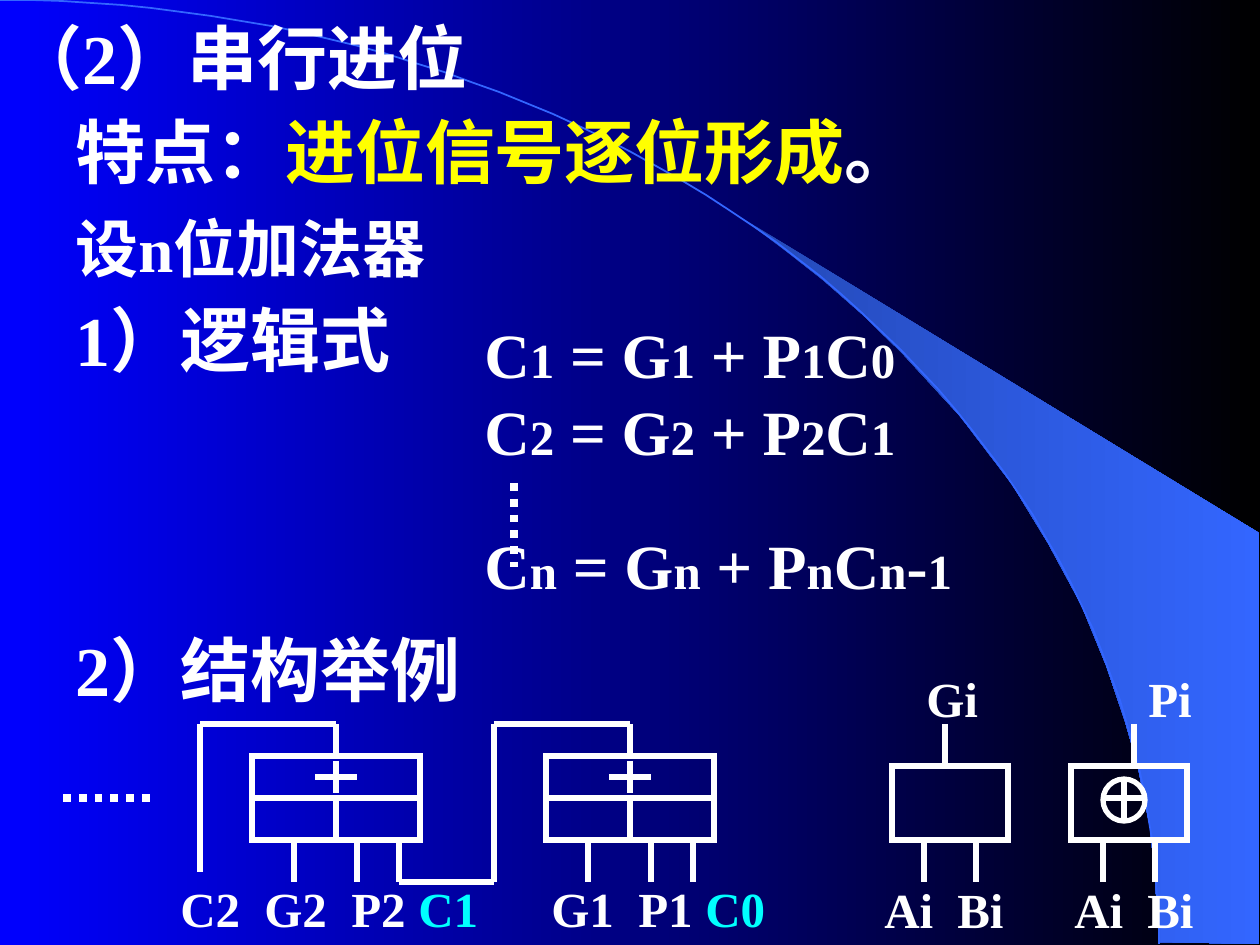
"""Build the slide on the serial carry chain of an n-bit adder."""
from itertools import cycle
from math import cos, pi, sin

from lxml.etree import SubElement
from pptx import Presentation
from pptx.dml.color import RGBColor
from pptx.enum.dml import MSO_LINE
from pptx.enum.shapes import MSO_CONNECTOR, MSO_SHAPE
from pptx.oxml.ns import qn
from pptx.util import Pt

PX = 914400 / 126
WIDTH, HEIGHT = 1260, 945
COLORS = {
    "white": "FFFFFF", "yellow": "FFFF00", "cyan": "00FFFF",
    "blue": "0000FF", "black": "000000", "arc": "3366FF", "beam": "2449B6",
}
BEAM = [
    (1159, 942), (1259, 944), (1259, 533), (742, 218), (786, 251), (823, 280),
    (863, 315), (902, 353), (960, 416), (1012, 484), (1048, 543), (1081, 604),
    (1106, 665), (1125, 721), (1138, 767), (1150, 827), (1155, 877),
]
LABELS = [
    ("C2", 168, 872, "white"), ("G2", 252, 872, "white"),
    ("P2", 339, 872, "white"), ("C1", 406, 872, "cyan"),
    ("G1", 539, 872, "white"), ("P1", 626, 872, "white"),
    ("C0", 693, 872, "cyan"),
    ("Gi", 914, 662, "white"), ("Pi", 1136, 662, "white"),
    ("Ai", 872, 873, "white"), ("Bi", 945, 873, "white"),
    ("Ai", 1062, 873, "white"), ("Bi", 1135, 873, "white"),
]


def px(length):
    """Turn px into EMU."""
    return round(length * PX)


def rgb(name):
    """Look up a colour by name."""
    return RGBColor.from_string(COLORS[name])


def fill_gradient(fill, start, end):
    """Fill from left to right with two colours."""
    fill.gradient()
    fill.gradient_angle = 0
    for stop, name in zip(fill.gradient_stops, (start, end)):
        stop.color.rgb = rgb(name)


def add_outline(slide, points, closed):
    """Draw a freeform through the points."""
    builder = slide.shapes.build_freeform(*points[0], scale=PX)
    builder.add_line_segments(points[1:], close=closed)
    outline = builder.convert_to_shape()
    outline.shadow.inherit = False
    return outline


def add_backdrop(slide):
    """Draw the gradient, the beam and the arc behind the content."""
    fill_gradient(slide.background.fill, "blue", "black")
    beam = add_outline(slide, BEAM, True)
    fill_gradient(beam.fill, "beam", "arc")
    beam.line.fill.background()
    steps = 60
    angles = [pi / 2 * step / steps for step in range(steps + 1)]
    curve = [(round(1159 * sin(a)), round(944 * (1 - cos(a)))) for a in angles]
    arc = add_outline(slide, curve, False)
    arc.fill.background()
    arc.line.color.rgb = rgb("arc")
    arc.line.width = Pt(1)


def add_wire(slide, x1, y1, x2, y2, dotted=False):
    """Draw a white line, solid or dotted."""
    wire = slide.shapes.add_connector(
        MSO_CONNECTOR.STRAIGHT, px(x1), px(y1), px(x2), px(y2))
    wire.line.color.rgb = rgb("white")
    wire.line.width = Pt(4.5 if dotted else 3)
    if dotted:
        wire.line.dash_style = MSO_LINE.ROUND_DOT
    SubElement(wire._element.spPr, qn("a:effectLst"))


def add_block(slide, preset, x, y, width, height):
    """Draw an unfilled white outline with sharp corners."""
    block = slide.shapes.add_shape(preset, px(x), px(y), px(width), px(height))
    block.shadow.inherit = False
    block.fill.background()
    block.line.color.rgb = rgb("white")
    block.line.width = Pt(3)
    SubElement(block._element.spPr.find(qn("a:ln")), qn("a:miter"), lim="800000")


def add_text(slide, x, y, width, height, lines, spacing=None):
    """Write lines of (space before, indent, pieces of text, size, colour)."""
    box = slide.shapes.add_textbox(px(x), px(y), px(width), px(height))
    frame = box.text_frame
    frame.word_wrap = True
    for number, (before, indent, pieces) in enumerate(lines):
        paragraph = frame.add_paragraph() if number else frame.paragraphs[0]
        if spacing:
            paragraph.line_spacing = spacing
        if before:
            paragraph.space_before = Pt(before)
        if indent:
            properties = paragraph._p.get_or_add_pPr()
            properties.set("marL", str(px(indent)))
            properties.set("indent", "0")
        for text, size, color in pieces:
            run = paragraph.add_run()
            run.text = text
            run.font.name = "Times New Roman"
            run.font.size = Pt(size)
            run.font.bold = True
            run.font.color.rgb = rgb(color)


def formula(marked):
    """Split at bars into alternating large symbols and small indices."""
    return [(text, size, "white")
            for text, size in zip(marked.split("|"), cycle((36, 28)))]


def add_adder(slide, x, carry_end):
    """Draw one adder with its three inputs and its carry output."""
    middle = x + 84
    carry = x - 52
    add_block(slide, MSO_SHAPE.RECTANGLE, x, 756, 168, 84)
    for ends in (
        (x, 798, x + 168, 798), (middle, 798, middle, 840),
        (x + 63, 777, x + 105, 777), (middle, 761, middle, 793),
        (middle, 724, middle, 756), (carry, 724, middle, 724),
        (carry, 724, carry, carry_end),
    ):
        add_wire(slide, *ends)
    for offset in (42, 105, 147):
        add_wire(slide, x + offset, 840, x + offset, 882)


def add_gate(slide, x, output):
    """Draw one gate with two inputs and an output."""
    add_block(slide, MSO_SHAPE.RECTANGLE, x, 766, 116, 74)
    add_wire(slide, output, 724, output, 766)
    for offset in (32, 84):
        add_wire(slide, x + offset, 840, x + offset, 882)


def add_xor_sign(slide):
    """Draw the circled plus."""
    add_wire(slide, 1103, 798, 1145, 798)
    add_wire(slide, 1124, 777, 1124, 819)
    add_block(slide, MSO_SHAPE.OVAL, 1103, 779, 42, 42)


def main():
    """Build and save the slide."""
    deck = Presentation()
    deck.slide_width, deck.slide_height = px(WIDTH), px(HEIGHT)
    slide = deck.slides.add_slide(deck.slide_layouts[6])
    add_backdrop(slide)

    add_text(slide, 0, 31, 1218, 374, [
        (0, 0, [("（2）串行进位", 40, "white")]),
        (20, 63, [("特点：", 40, "white"), ("进位信号逐位形成", 40, "yellow"),
                  ("。", 40, "white")]),
        (23, 63, [("设n位加法器", 36, "white")]),
        (21, 63, [("1）逻辑式", 40, "white")]),
    ], spacing=0.7)
    add_text(slide, 472, 336, 693, 290, [
        (0, 0, formula("C|1| = G|1| + P|1|C|0")),
        (18, 0, formula("C|2| = G|2| + P|2|C|1")),
        (51, 0, formula("C|n| = G|n| + P|n|C|n|-|1")),
    ], spacing=0.6)
    add_wire(slide, 514, 483, 514, 567, dotted=True)
    add_text(slide, 63, 620, 662, 97, [(0, 0, [("2）结构举例", 40, "white")])])

    add_adder(slide, 252, 872)
    add_adder(slide, 546, 882)
    add_wire(slide, 399, 882, 494, 882)
    add_wire(slide, 63, 798, 157, 798, dotted=True)
    add_gate(slide, 892, 945)
    add_gate(slide, 1071, 1134)
    add_xor_sign(slide)
    for name, x, y, color in LABELS:
        add_text(slide, x, y, 88, 72, [(0, 0, [(name, 28, color)])])
    deck.save("out.pptx")


if __name__ == "__main__":
    main()
